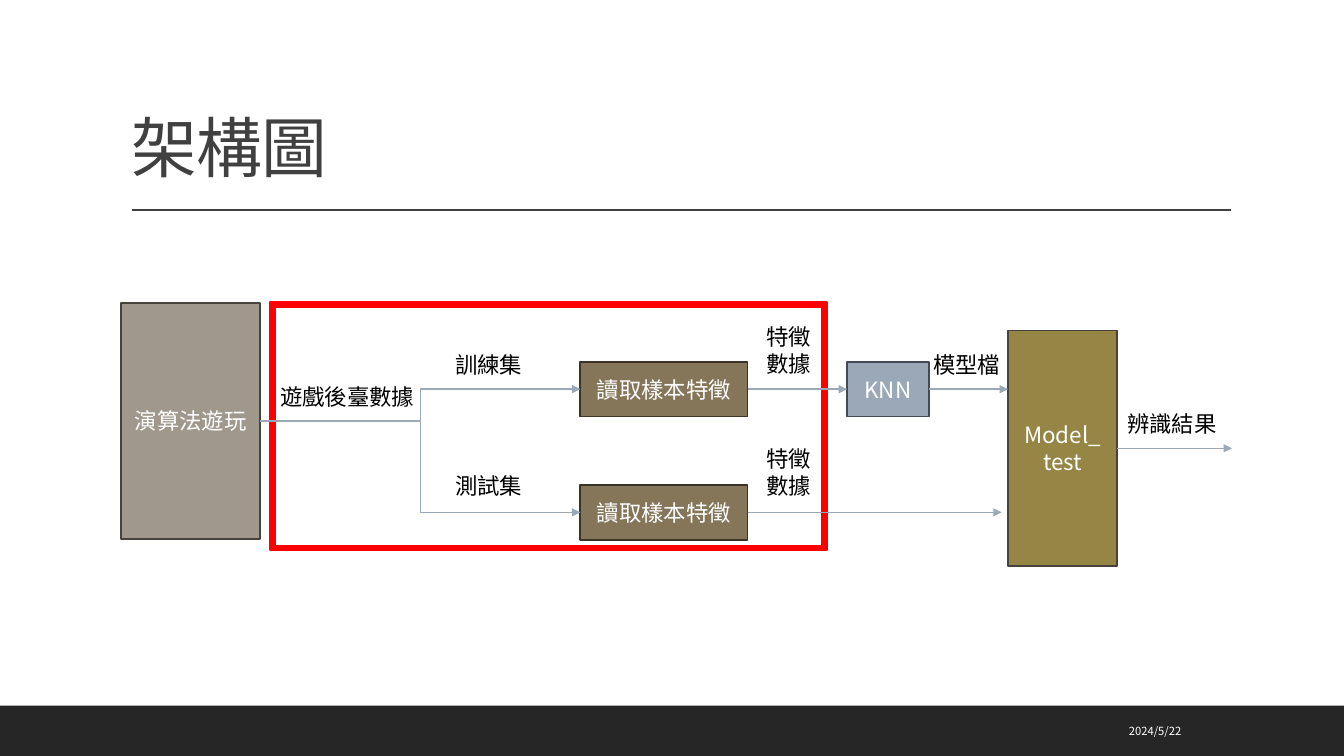
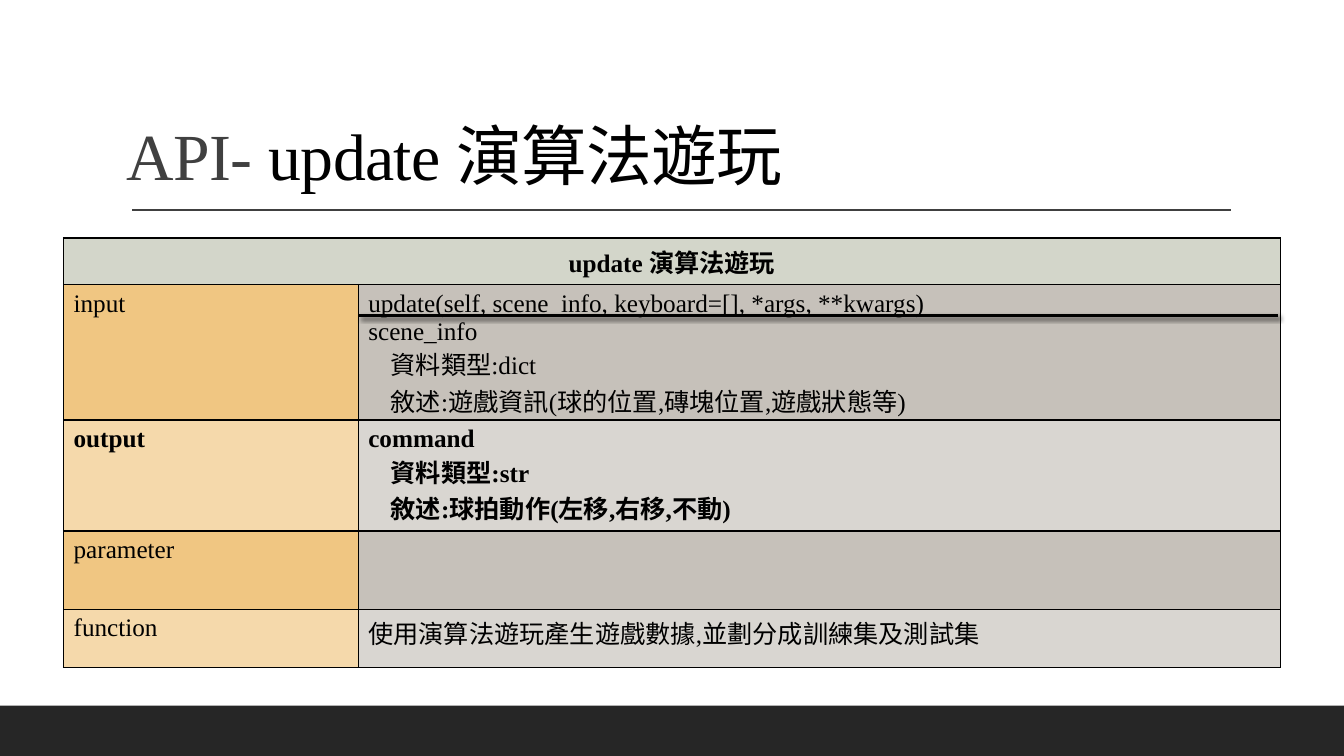
from pptx import Presentation
from pptx.dml.color import RGBColor as RGB
from pptx.enum.shapes import MSO_CONNECTOR as LINE, MSO_SHAPE as SHAPE
from pptx.enum.text import MSO_ANCHOR as ANCHOR, MSO_AUTO_SIZE as FIT, PP_ALIGN as ALIGN
from pptx.oxml.ns import qn
from pptx.util import Pt
from lxml.etree import SubElement as Sub

BLACK, WHITE = RGB(0, 0, 0), RGB(255, 255, 255)
DARK, GREY, RED = RGB(0x26, 0x26, 0x26), RGB(0x40, 0x40, 0x40), RGB(255, 0, 0)
BLUE, NAVY = RGB(0x9B, 0xA8, 0xB7), RGB(0x44, 0x4A, 0x50)
BROWN, UMBER = RGB(0x85, 0x76, 0x59), RGB(0x3A, 0x34, 0x27)
OLIVE, TAUPE, EDGE = RGB(0x95, 0x86, 0x46), RGB(0xA0, 0x98, 0x8C), RGB(0x46, 0x43, 0x3D)
SAGE = RGB(0xD3, 0xD6, 0xCA)
DEEP = RGB(0xF0, 0xC6, 0x82), RGB(0xC6, 0xC1, 0xBA)
PALE = RGB(0xF5, 0xD9, 0xAB), RGB(0xD9, 0xD6, 0xD1)
SANS, TC, SERIF = "Noto Sans CJK SC", "Noto Sans CJK TC", "Times New Roman"

# Content: flow chart
ROW1, ROW2 = 278, 366
BOXES = {  # name: (lines, left, top, width, height, fill, edge)
    "train": (["讀取樣本特徵"], 414.5, ROW1 - 19.5, 119.5, 39, BROWN, UMBER),
    "model": (["Model_", "test"], 720, 236, 78, 168.5, OLIVE, EDGE),
    "test": (["讀取樣本特徵"], 414.5, ROW2 - 19.5, 119.5, 39, BROWN, UMBER),
    "knn": (["KNN"], 605, ROW1 - 19.5, 58.5, 39, BLUE, NAVY),
    "play": (["演算法遊玩"], 86.5, 216.5, 99.5, 168.5, TAUPE, EDGE),
}
LABELS = [  # text, left, top, width, height
    ("訓練集", 318, ROW1 - 31, 66, 26.6),
    ("測試集", 318, ROW2 - 32, 66, 26.6),
    ("特徵數據", 540.5, ROW1 - 50.5, 49.7, 46),
    ("特徵數據", 540.5, ROW2 - 51.5, 49.7, 46),
    ("模型檔", 659.5, ROW1 - 31, 65, 26.6),
    ("辨識結果", 798, 289.5, 82, 26.6),
    ("遊戲後臺數據", 193, 270, 113, 26.6),
]
ARROWS = [  # kind, start box, end box or point
    (LINE.STRAIGHT, "train", "knn"),
    (LINE.STRAIGHT, "knn", (720, ROW1)),
    (LINE.STRAIGHT, "test", (715.5, ROW2)),
    (LINE.STRAIGHT, "model", (880, 320.25)),
    (LINE.ELBOW, "play", "train"),
    (LINE.ELBOW, "play", "test"),
]

# Content: API tables; a leading tab marks an indented line
HEAD = "update 演算法遊玩"
TABLES = [  # top, rows of (height, bold, fills, cells)
    (170, [
        (33, True, (SAGE, SAGE), [[HEAD]]),
        (101.5, False, DEEP, [["input"], [
            "update(self, scene_info, keyboard=[], *args, **kwargs)", "scene_info",
            "\t資料類型:dict", "\t敘述:遊戲資訊(球的位置,磚塊位置,遊戲狀態等)"]]),
    ]),
    (300, [
        (79, True, PALE, [["output"], [
            "command", "\t資料類型:str", "\t敘述:球拍動作(左移,右移,不動)"]]),
        (56, False, DEEP, [["parameter"], []]),
        (41.5, False, PALE, [["function"], ["使用演算法遊玩產生遊戲數據,並劃分成訓練集及測試集"]]),
    ]),
]
COLS = 210.5, 658.5


def pts(*nums):
    return [Pt(n) for n in nums]


def write(frame, lines, size=16, font=SANS, color=BLACK, bold=False,
          align=ALIGN.LEFT, gap=None, track=None):
    """Fill a frame; a line is a string or a list of (text, colour) runs."""
    for i, line in enumerate(lines):
        para = frame.add_paragraph() if i else frame.paragraphs[0]
        para.alignment = align
        if gap:
            para.line_spacing = gap
        if isinstance(line, str):
            if line.startswith("\t"):
                para._p.get_or_add_pPr().set("marL", str(Pt(16)))
            line = [(line.strip(), color)]
        for text, tint in line:
            run = para.add_run()
            run.text = text
            face = run.font
            face.size, face.name, face.bold = Pt(size), font, bold
            face.color.rgb = tint
            props = run._r.get_or_add_rPr()
            Sub(props, qn("a:ea")).set("typeface", SANS if font == SERIF else font)
            if track:
                props.set("spc", str(track))


def block(slide, kind, area, fill, edge=None):
    shape = slide.shapes.add_shape(kind, *pts(*area))
    shape.shadow.inherit = False
    shape.fill.solid()
    shape.fill.fore_color.rgb = fill
    if edge is None:
        shape.line.fill.background()
    else:
        shape.line.color.rgb, shape.line.width = edge, Pt(1.25)
    return shape


def wire(slide, kind, start, end, color, width=1, arrow=False):
    link = slide.shapes.add_connector(kind, *pts(*start, *end))
    link.line.color.rgb, link.line.width = color, Pt(width)
    if arrow:
        Sub(link.line._get_or_add_ln(), qn("a:tailEnd")).set("type", "triangle")
    Sub(link.element.spPr, qn("a:effectLst"))
    return link


def label(slide, lines, area, anchor=ANCHOR.TOP, **fmt):
    frame = slide.shapes.add_textbox(*pts(*area)).text_frame
    frame.word_wrap, frame.vertical_anchor = True, anchor
    write(frame, lines, **fmt)


def page(deck, runs, left, top, font):
    slide = deck.slides.add_slide(deck.slide_layouts[5])
    title = slide.shapes.title
    title.left, title.top, title.width, title.height = pts(left, top, 792, 114.5)
    frame = title.text_frame
    frame.auto_size, frame.vertical_anchor = FIT.NONE, ANCHOR.BOTTOM
    write(frame, [runs], size=47, font=font, gap=0.9, track=-50)
    return slide


def dress(slide):
    """Move the band and the title rule to the shared layout."""
    band = block(slide, SHAPE.RECTANGLE, (0, 504, 960, 36), DARK)
    rule = wire(slide, LINE.STRAIGHT, (94.5, 150), (879, 150), GREY)
    for part in (band, rule):
        slide.slide_layout.shapes.element.append(part.element)


def chart(slide):
    label(slide, ["2024/5/22"], (647.5, 507.5, 203.5, 29), ANCHOR.MIDDLE,
          size=8, font=TC, color=WHITE, align=ALIGN.RIGHT)
    boxes = {}
    for name, (lines, *area, fill, edge) in BOXES.items():
        box = boxes[name] = block(slide, SHAPE.RECTANGLE, area, fill, edge)
        box.text_frame.word_wrap = True
        box.text_frame.vertical_anchor = ANCHOR.MIDDLE
        write(box.text_frame, lines, color=WHITE, align=ALIGN.CENTER)
    for text, *area in LABELS:
        label(slide, [text], area)
    # Red focus frame
    focus = block(slide, SHAPE.FRAME, (193, 216, 397.5, 177), RED, RED)
    focus.adjustments[0] = 0.019
    # Arrows leave on the right and enter on the left
    for kind, start, end in ARROWS:
        joined = isinstance(end, str)
        link = wire(slide, kind, (0, 0), (0, 0) if joined else end, BLUE, arrow=True)
        link.begin_connect(boxes[start], 3)
        if joined:
            link.end_connect(boxes[end], 1)


def border(cell):
    props = cell._tc.get_or_add_tcPr()
    for side in "LRTB":
        edge = Sub(props, qn(f"a:ln{side}"), w=str(Pt(1)))
        fill = Sub(edge, qn("a:solidFill"))
        Sub(fill, qn("a:srgbClr"), val=str(BLACK))


def grid(slide, top, rows):
    high = sum(row[0] for row in rows)
    table = slide.shapes.add_table(
        len(rows), len(COLS), *pts(45.4, top, sum(COLS), high)).table
    table.first_row = table.horz_banding = False
    for col, width in zip(table.columns, COLS):
        col.width = Pt(width)
    for r, (height, bold, fills, texts) in enumerate(rows):
        table.rows[r].height = Pt(height)
        wide = len(texts) == 1
        if wide:
            table.cell(r, 0).merge(table.cell(r, 1))
        for c, fill in enumerate(fills):
            cell = table.cell(r, c)
            border(cell)
            cell.fill.solid()
            cell.fill.fore_color.rgb = fill
            if c < len(texts):
                write(cell.text_frame, texts[c], size=18, font=SERIF, bold=bold,
                      align=ALIGN.CENTER if wide else ALIGN.LEFT)


def shade(link):
    glow = Sub(link.element.spPr.find(qn("a:effectLst")), qn("a:outerShdw"),
               blurRad=str(Pt(3)), dist=str(Pt(2)), dir=str(45 * 60000))
    tint = Sub(glow, qn("a:srgbClr"), val=str(BLACK))
    Sub(tint, qn("a:alpha"), val="60000")


def main():
    deck = Presentation()
    deck.slide_width, deck.slide_height = pts(960, 540)

    # Slide 1: flow chart
    flow = page(deck, [("架構圖", GREY)], 86.5, 22.5, SANS)
    dress(flow)
    chart(flow)

    # Slide 2: API tables
    api = page(deck, [("API- ", GREY), (HEAD, BLACK)], 83.5, 28, SERIF)
    for top, rows in TABLES:
        grid(api, top, rows)
    shade(wire(api, LINE.STRAIGHT, (256.5, 225.5), (913, 225.5), BLACK, width=2))

    deck.save("out.pptx")


if __name__ == "__main__":
    main()
